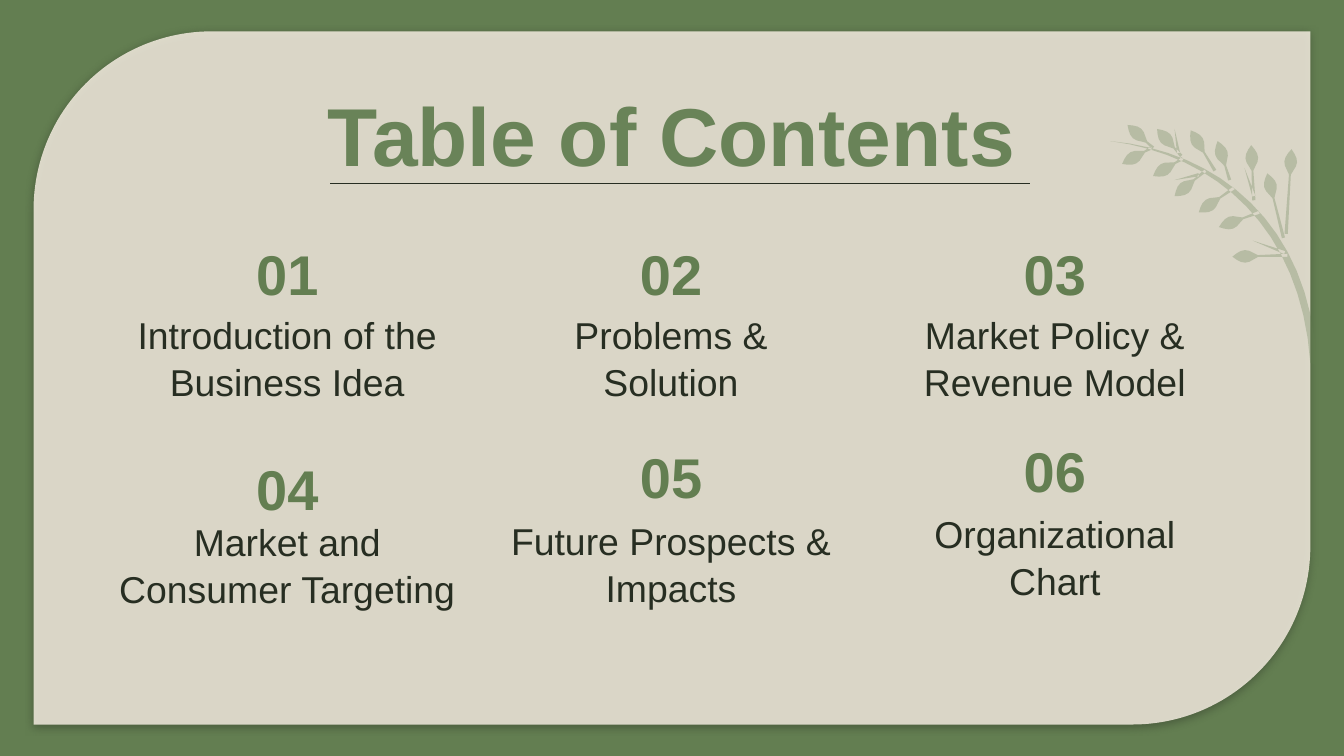
from math import hypot, pi, sin
from lxml.etree import SubElement
from pptx import Presentation
from pptx.dml.color import RGBColor
from pptx.enum.shapes import MSO_CONNECTOR as Connector, MSO_SHAPE as Shape
from pptx.enum.text import MSO_ANCHOR as Anchor, MSO_AUTO_SIZE as AutoSize, PP_ALIGN as Align
from pptx.oxml.ns import qn
from pptx.util import Pt

GREEN = "637E51"
TITLE_GREEN = "698358"
CREAM = "FAF1E6"
DARK = "272E22"
FONT = "Arial"

COLUMN_LEFT, COLUMN_STEP, COLUMN_WIDTH = 56.4, 205.6, 195
NUMBER_WIDTH, BOX_HEIGHT = 77.8, 67

CONTENTS = [
    ("Introduction of the Business Idea", 104.4, 159.1),
    ("Problems & Solution", 104.4, 159.1),
    ("Market Policy & Revenue Model", 104.4, 159.1),
    ("Market and Consumer Targeting", 219.6, 270),
    ("Future Prospects & Impacts", 213.1, 269.3),
    ("Organizational Chart", 210.2, 265.7),
]

BRANCH_UNIT = Pt(0.72)
LEAF_LENGTH, LEAF_HALF_WIDTH, LEAF_STEPS = 19, 4.7, 6
STEM_OUTER = [(826, 105), (905, 112), (975, 165), (980, 272)]
STEM_INNER = [(975, 270), (968, 170), (905, 115), (826, 105)]
LEAVES = [
    (958, 190, 917, 191), (937, 158, 907, 169), (918, 140, 892, 158), (897, 127, 874, 146),
    (880, 118, 858, 131), (857, 110, 835, 122), (858, 110, 839, 93), (879, 116, 861, 96),
    (904, 127, 886, 97), (915, 134, 906, 105), (933, 149, 931, 108), (955, 177, 943, 129),
    (957, 174, 961, 111),
]
THORNS = [(956, 188, 932, 179), (892, 130, 874, 134), (877, 114, 874, 96), (933, 146, 926, 125)]


def color(value):
    return RGBColor.from_string(value)


def fill_shape(shape, value, opacity):
    shape.shadow.inherit = False
    shape.line.fill.background()
    shape.fill.solid()
    shape.fill.fore_color.rgb = color(value)
    fill_color = shape.element.spPr.find(qn("a:solidFill")).find(qn("a:srgbClr"))
    SubElement(fill_color, qn("a:alpha"), val=str(opacity * 1000))


def add_panel(slide):
    panel = slide.shapes.add_shape(
        Shape.ROUND_2_DIAG_RECTANGLE, Pt(18), Pt(16.8), Pt(684), Pt(371.4))
    panel.adjustments[0] = 0.257
    panel.adjustments[1] = 0
    fill_shape(panel, CREAM, 82)
    effects = panel.element.spPr.find(qn("a:effectLst"))
    shadow = SubElement(effects, qn("a:outerShdw"), blurRad=str(Pt(4.5)), dist=str(Pt(1.5)),
                        dir="5400000", algn="bl", rotWithShape="0")
    shadow_color = SubElement(shadow, qn("a:srgbClr"), val=DARK)
    SubElement(shadow_color, qn("a:alpha"), val="50000")
    slide.shapes.element.insert(2, panel.element)


def format_text(shape, text, size, value, bold=False, anchor=Anchor.TOP, spacing=1.05):
    frame = shape.text_frame
    frame.text = text
    frame.word_wrap = True
    frame.auto_size = AutoSize.NONE
    frame.vertical_anchor = anchor
    frame.margin_left = frame.margin_right = frame.margin_top = frame.margin_bottom = Pt(7.2)
    paragraph = frame.paragraphs[0]
    paragraph.alignment = Align.CENTER
    paragraph.line_spacing = spacing
    font = paragraph.runs[0].font
    font.name = FONT
    font.size = Pt(size)
    font.bold = bold
    font.color.rgb = color(value)


def add_title(slide, text):
    title = slide.shapes.title
    title.left, title.top, title.width, title.height = Pt(56.7), Pt(35.3), Pt(606.6), Pt(45.4)
    format_text(title, text, 44, TITLE_GREEN, bold=True)


def add_content(slide, index, text, number_top, text_top):
    left = COLUMN_LEFT + index % 3 * COLUMN_STEP
    number_left = left + (COLUMN_WIDTH - NUMBER_WIDTH) / 2
    number = slide.shapes.add_textbox(
        Pt(number_left), Pt(number_top), Pt(NUMBER_WIDTH), Pt(BOX_HEIGHT))
    format_text(number, f"{index + 1:02}", 30, GREEN, bold=True, anchor=Anchor.BOTTOM, spacing=1)
    label = slide.shapes.add_textbox(Pt(left), Pt(text_top), Pt(COLUMN_WIDTH), Pt(BOX_HEIGHT))
    format_text(label, text, 20, DARK)


def add_rule(slide):
    rule = slide.shapes.add_connector(Connector.STRAIGHT, Pt(177), Pt(98.4), Pt(552), Pt(98.4))
    rule.line.color.rgb = color(DARK)
    rule.line.width = Pt(0.75)
    SubElement(rule.element.spPr, qn("a:effectLst"))


def curve_points(controls, steps=16):
    points = []
    for step in range(steps + 1):
        t = step / steps
        weights = ((1 - t) ** 3, 3 * t * (1 - t) ** 2, 3 * t ** 2 * (1 - t), t ** 3)
        points.append(tuple(sum(weight * value for weight, value in zip(weights, values))
                            for values in zip(*controls)))
    return points


def sprig_outline(root_x, root_y, tip_x, tip_y, leaf=True):
    length = hypot(tip_x - root_x, tip_y - root_y)
    along_x, along_y = (tip_x - root_x) / length, (tip_y - root_y) / length
    profile = [(0, 1.2)]
    if leaf:
        for step in range(LEAF_STEPS):
            distance = length - LEAF_LENGTH * (1 - step / LEAF_STEPS)
            profile.append((distance, max(0.7, LEAF_HALF_WIDTH * sin(pi * step / LEAF_STEPS))))
    sides = [[(root_x + along_x * distance - along_y * width * side,
               root_y + along_y * distance + along_x * width * side)
              for distance, width in profile] for side in (1, -1)]
    return sides[0] + [(tip_x, tip_y)] + sides[1][::-1]


def add_branch(slide):
    outlines = [curve_points(STEM_OUTER) + curve_points(STEM_INNER)]
    outlines += [sprig_outline(*leaf) for leaf in LEAVES]
    outlines += [sprig_outline(*thorn, leaf=False) for thorn in THORNS]
    outlines = [[(x * BRANCH_UNIT, y * BRANCH_UNIT) for x, y in outline] for outline in outlines]
    builder = slide.shapes.build_freeform(*outlines[0][0])
    for index, outline in enumerate(outlines):
        if index:
            builder.move_to(*outline[0])
        builder.add_line_segments(outline[1:], close=True)
    fill_shape(builder.convert_to_shape(), GREEN, 29)


def main():
    presentation = Presentation()
    presentation.slide_width, presentation.slide_height = Pt(720), Pt(405)
    slide = presentation.slides.add_slide(presentation.slide_layouts[5])
    slide.background.fill.solid()
    slide.background.fill.fore_color.rgb = color(GREEN)
    add_panel(slide)
    add_title(slide, "Table of Contents")
    for index, content in enumerate(CONTENTS):
        add_content(slide, index, *content)
    add_rule(slide)
    add_branch(slide)
    presentation.save("out.pptx")


if __name__ == "__main__":
    main()
